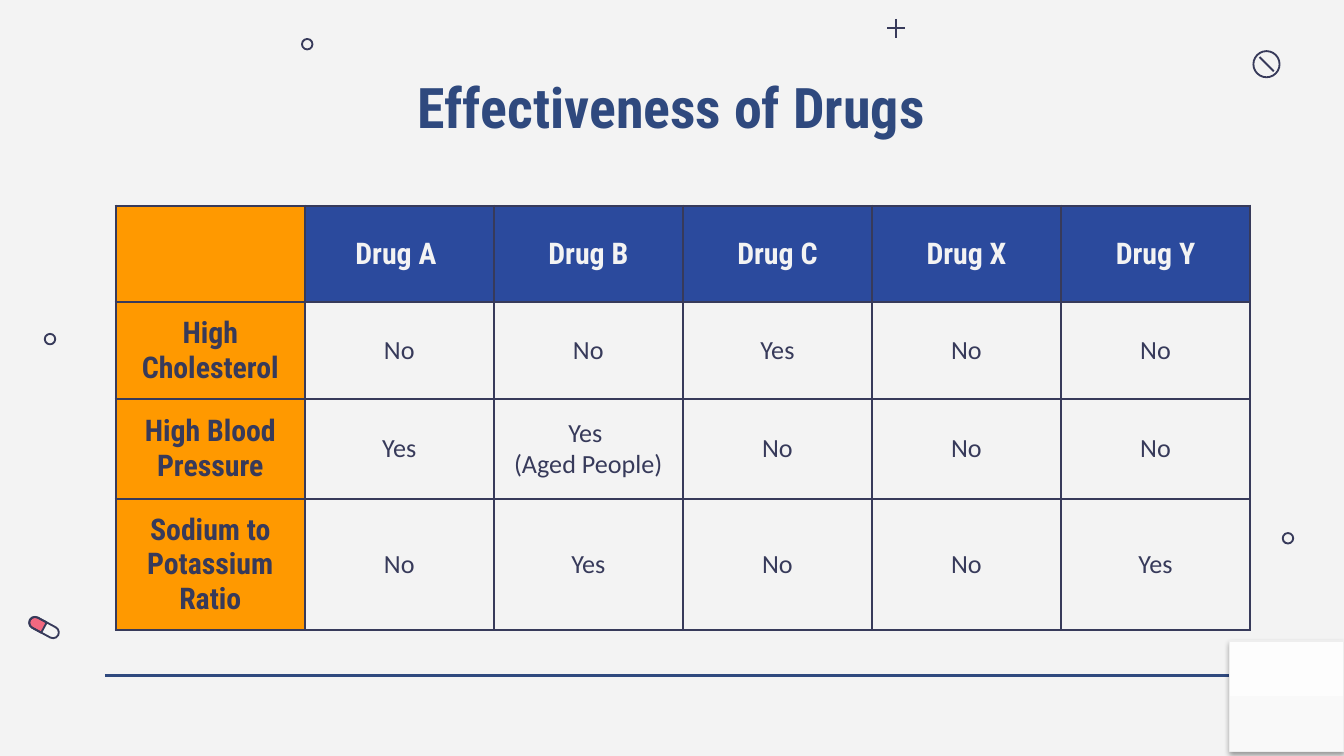
"""Build the slide on the effectiveness of drugs."""
from lxml import etree
from pptx import Presentation
from pptx.dml.color import RGBColor
from pptx.enum.shapes import MSO_CONNECTOR as Connector, MSO_SHAPE as Preset
from pptx.enum.text import MSO_ANCHOR as Anchor, PP_ALIGN as Align
from pptx.oxml import parse_xml
from pptx.oxml.ns import nsdecls, qn
from pptx.util import Pt

PAPER, INK, NAVY = "F3F3F3", "373A5A", "2F497E"
BLUE, ORANGE, PINK = "2B4A9D", "FF9900", "F16880"
HEADING, BODY = "Roboto Condensed", "Calibri"
ROWS = [
    ["", "Drug A ", "Drug B", "Drug C", "Drug X", "Drug Y"],
    ["High Cholesterol", "No", "No", "Yes", "No", "No"],
    ["High Blood Pressure", "Yes", "Yes \n(Aged People)", "No", "No", "No"],
    ["Sodium to Potassium Ratio", "No", "Yes", "No", "No", "Yes"],
]
ROW_HEIGHTS = [51.6, 51.8, 53.7, 70.2]
COLUMN_WIDTH = 101.3
RING_CENTRES = [(690, 288.4), (164.6, 23.7), (26.8, 181.7)]


def paint(color_format, color):
    """Set a colour format from a hex string."""
    color_format.rgb = RGBColor.from_string(color)


def fill_solid(fill, color):
    """Make a fill one plain colour."""
    fill.solid()
    paint(fill.fore_color, color)


def write(text_frame, text, size, font, color, bold):
    """Write centred paragraphs, one for each line of text."""
    for index, line in enumerate(text.split("\n")):
        paragraph = text_frame.add_paragraph() if index else text_frame.paragraphs[0]
        paragraph.alignment = Align.CENTER
        run = paragraph.add_run()
        run.text = line
        run.font.size, run.font.name, run.font.bold = Pt(size), font, bold
        paint(run.font.color, color)


def add_line(slide, start, end, color=INK, width=1):
    """Add a straight line without shadow."""
    line = slide.shapes.add_connector(Connector.STRAIGHT, *map(Pt, (*start, *end)))
    paint(line.line.color, color)
    line.line.width = Pt(width)
    etree.SubElement(line._element.spPr, qn("a:effectLst"))


def add_figure(slide, preset, centre, size, fill=None, rotation=0, line=INK, width=1):
    """Add an outlined preset shape around its centre."""
    (x, y), (across, down) = centre, size
    shape = slide.shapes.add_shape(
        preset, Pt(x - across / 2), Pt(y - down / 2), Pt(across), Pt(down))
    shape.shadow.inherit = False
    shape.rotation = rotation
    if fill:
        fill_solid(shape.fill, fill)
    else:
        shape.fill.background()
    paint(shape.line.color, line)
    shape.line.width = Pt(width)
    return shape


def add_pill(slide):
    """Add the tilted two-part capsule."""
    half = add_figure(slide, Preset.ROUND_2_SAME_RECTANGLE, (19.8, 334.15),
                      (6.2, 8.6), PINK, 298.4)
    half.adjustments[0] = 0.5
    capsule = add_figure(slide, Preset.ROUNDED_RECTANGLE, (23.6, 336.2),
                         (17.2, 6.2), None, 28.4)
    capsule.adjustments[0] = 0.5


def add_decoration(slide):
    """Add the baseline, rings, crossed circle, plus sign and capsule."""
    add_line(slide, (56.2, 362), (663.8, 362), NAVY, 1.5)
    add_pill(slide)
    for centre in RING_CENTRES:
        add_figure(slide, Preset.OVAL, centre, (5.6, 5.6))
    add_figure(slide, Preset.OVAL, (678.5, 34.4), (14, 14), PAPER)
    add_line(slide, (674.8, 30.6), (682.4, 38.2))
    add_line(slide, (480, 10.1), (480, 20.2))
    add_line(slide, (475.2, 15), (485, 15))


def add_title(slide):
    """Place and format the title."""
    title = slide.shapes.title
    title.left, title.top, title.width, title.height = map(Pt, (108, 29.5, 503.3, 45.4))
    frame = title.text_frame
    frame.margin_left = frame.margin_right = frame.margin_bottom = Pt(7.2)
    frame.margin_top = Pt(9.5)
    frame.vertical_anchor = Anchor.TOP
    write(frame, "Effectiveness of Drugs", 30, HEADING, NAVY, True)


def set_borders(cell):
    """Rule all four sides of a cell."""
    properties = cell._tc.get_or_add_tcPr()
    for index, side in enumerate(("lnL", "lnR", "lnT", "lnB")):
        properties.insert(index, parse_xml(
            f'<a:{side} {nsdecls("a")} w="{Pt(1.5)}"><a:solidFill>'
            f'<a:srgbClr val="{INK}"/></a:solidFill></a:{side}>'))


def format_cell(cell, text, row, column):
    """Fill a cell and style its text by its place in the table."""
    is_heading = row == 0 or column == 0
    fill = ORANGE if column == 0 else BLUE if row == 0 else PAPER
    fill_solid(cell.fill, fill)
    set_borders(cell)
    cell.vertical_anchor = Anchor.MIDDLE
    cell.margin_left = cell.margin_right = Pt(7.2)
    cell.margin_top = cell.margin_bottom = Pt(7.2)
    if text:
        write(cell.text_frame, text, 16 if is_heading else 14,
              HEADING if is_heading else BODY, PAPER if row == 0 else INK, is_heading)


def add_drug_table(slide):
    """Add the table of drugs against conditions."""
    columns = len(ROWS[0])
    table = slide.shapes.add_table(
        len(ROWS), columns, Pt(62), Pt(110.3),
        Pt(COLUMN_WIDTH * columns), Pt(sum(ROW_HEIGHTS))).table
    for column in table.columns:
        column.width = Pt(COLUMN_WIDTH)
    for row, (height, texts) in enumerate(zip(ROW_HEIGHTS, ROWS)):
        table.rows[row].height = Pt(height)
        for column, text in enumerate(texts):
            format_cell(table.cell(row, column), text, row, column)


def add_corner_panel(slide):
    """Add the pale shaded square in the corner."""
    panel = add_figure(slide, Preset.RECTANGLE, (689.4, 373), (61.2, 59),
                       line="EEEEEE", width=0.75)
    panel.fill.gradient()
    panel.fill.gradient_angle = 90
    for stop, color in zip(panel.fill.gradient_stops, ("F9F9F9", "FDFDFD")):
        paint(stop.color, color)
    effects = panel._element.spPr.find(qn("a:effectLst"))
    effects.append(parse_xml(
        f'<a:outerShdw {nsdecls("a")} blurRad="{Pt(3.1)}" dist="{Pt(1.6)}" '
        'dir="5400000" rotWithShape="0"><a:srgbClr val="000000">'
        '<a:alpha val="38000"/></a:srgbClr></a:outerShdw>'))


def main():
    """Build and save the presentation."""
    presentation = Presentation()
    presentation.slide_width, presentation.slide_height = Pt(720), Pt(405)
    slide = presentation.slides.add_slide(presentation.slide_layouts[5])
    fill_solid(slide.background.fill, PAPER)
    add_decoration(slide)
    add_title(slide)
    add_drug_table(slide)
    add_corner_panel(slide)
    presentation.save("out.pptx")


main()
